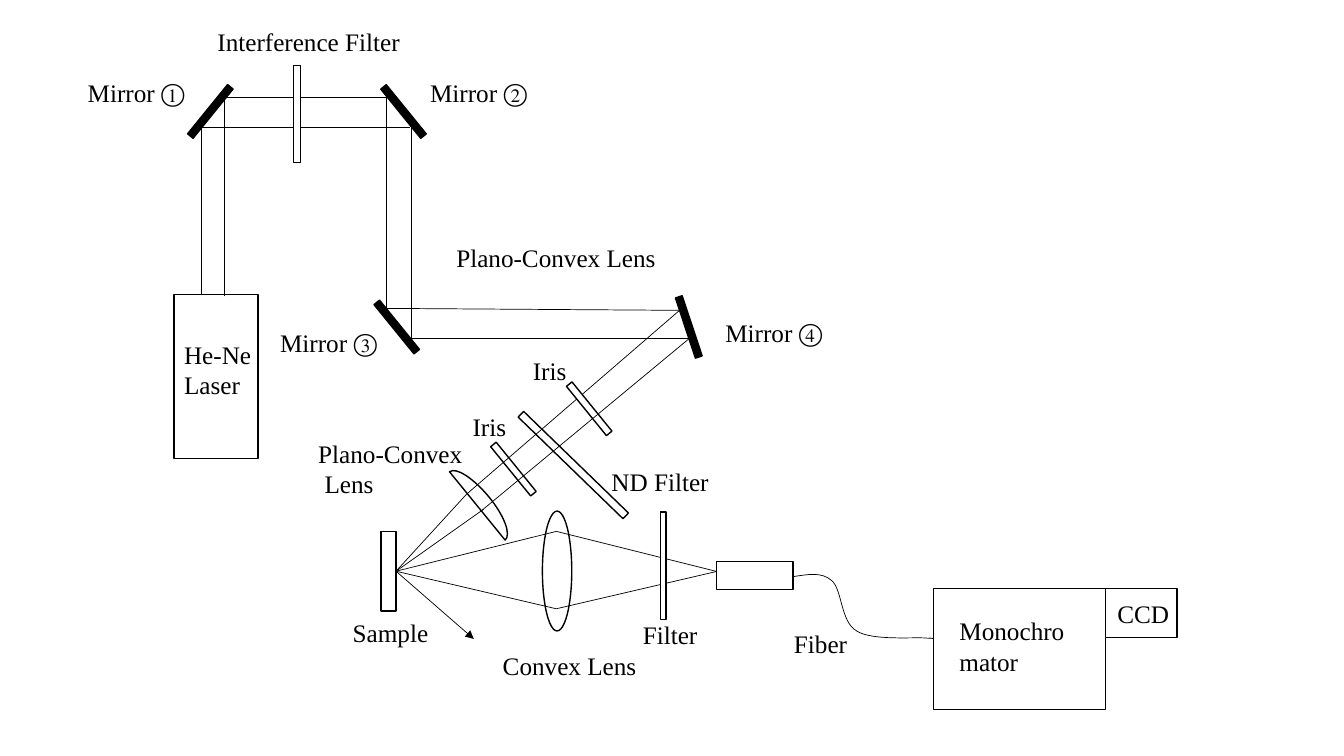
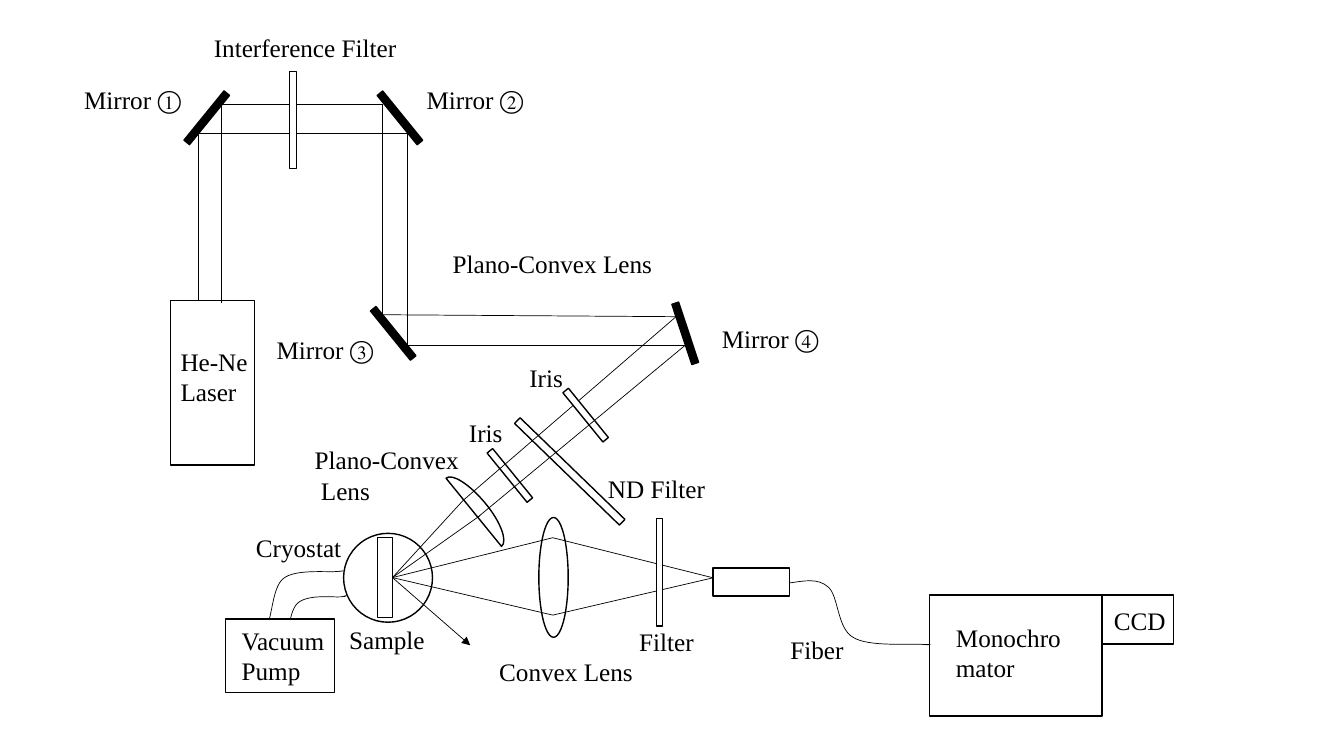
from dataclasses import dataclass

from pptx import Presentation
from pptx.dml.color import RGBColor
from pptx.enum import shapes
from pptx.oxml.xmlchemy import OxmlElement
from pptx.util import Cm, Pt


@dataclass(frozen=True)
class Theme:
    ink: RGBColor = RGBColor(0, 0, 0)
    paper: RGBColor = RGBColor(255, 255, 255)
    font: str = "Times New Roman"
    label_size: Pt = Pt(18)
    outline: Pt = Pt(1)
    beam: Pt = Pt(0.5)


THEME = Theme()
RECTANGLE = shapes.MSO_SHAPE.RECTANGLE
OVAL = shapes.MSO_SHAPE.OVAL
RIGHT_SIDE = 3

# All positions and sizes are in centimetres.
PLATE = (0.18, 1.6)  # mirrors and irises
LINE_HEIGHT, LABEL_PADDING = 0.77, 0.25
SHORT, MEDIUM, LONG = 3.53, 4.8, 6.27  # label widths

# left, top, angle
MIRRORS = [(5.21, 2.01, 39.1), (10.08, 2.01, -39.1),
           (9.91, 7.44, -39.1), (17.27, 7.44, -18.4)]
FAR_IRIS = (14.76, 9.5, -39.1)
NEAR_IRIS = (12.85, 11.02, -39.1)

# left, top, width, height
SAMPLE = (9.6, 13.39, 0.38, 2.01)
CONVEX_LENS = (13.67, 12.88, 0.74, 3.02)
ND_FILTER = (14.35, 9.88, 0.2, 3.68)
ND_ANGLE = -45.9
INSTRUMENTS = {
    "CCD": (27.86, 14.83, 1.8, 1.24),
    "laser": (4.39, 7.42, 2.11, 4.14),
    "fiber coupler": (18.06, 14.15, 1.93, 0.71),
    "monochromator": (23.52, 14.83, 4.34, 3.05),
}
FRONT_FILTERS = {
    "filter": (16.64, 12.9, 0.15, 2.72),
    "interference filter": (7.39, 1.65, 0.18, 2.44),
}

# start x, start y, end x, end y
BEAMS = [
    (5.08, 7.42, 5.08, 3.2), (5.66, 7.47, 5.66, 2.46),        # laser to mirror 1
    (5.08, 3.2, 10.34, 3.2), (5.66, 2.46, 9.75, 2.46),        # mirror 1 to 2
    (10.36, 3.02, 10.36, 8.53), (9.73, 2.46, 9.73, 7.77),     # mirror 2 to 3
    (10.36, 8.53, 17.42, 8.53), (9.6, 7.77, 17.15, 7.82),     # mirror 3 to 4
    (14.02, 13.39, 18.06, 14.4), (14.02, 15.34, 18.06, 14.4),  # lens to coupler
]
UPPER_PROBE_BEAM = (17.15, 7.8, 11.76, 12.45)
LOWER_PROBE_BEAM = (17.37, 8.53, 12.12, 12.88)
SAMPLE_RAY_ENDS = [(11.76, 12.45), (12.19, 12.83), (14.02, 13.39), (14.02, 15.34)]
REFLECTION_END = (11.94, 16.1)

# A start point, then two control points and an end point for each curve
PLANO_CONVEX_LENS = [
    (11.33, 11.89), (11.49, 11.76), (11.93, 12.05), (12.32, 12.52),
    (12.71, 12.99), (12.89, 13.48), (12.73, 13.61)]
FIBER = [
    (19.99, 14.53), (20.35, 14.48), (20.7, 14.4), (20.96, 14.63),
    (21.23, 14.86), (21.18, 15.67), (21.59, 15.9),
    (21.97, 16.15), (23.04, 16.05), (23.34, 16.08),
    (23.65, 16.1), (23.52, 16.08), (23.42, 16.08)]
VACUUM_TUBES = [
    [(6.01, 15.84), (6.26, 15.92), (6.54, 15.99), (6.74, 15.74),
     (6.97, 15.51), (6.92, 14.67), (7.23, 14.42),
     (7.53, 14.17), (8.35, 14.27), (8.6, 14.24),
     (8.83, 14.22), (8.73, 14.22), (8.65, 14.24)],
    [(6.57, 16.45), (6.8, 16.53), (7.02, 16.6), (7.2, 16.38),
     (7.35, 16.15), (7.33, 15.31), (7.58, 15.05),
     (7.84, 14.8), (8.5, 14.9), (8.7, 14.88),
     (8.88, 14.83), (8.83, 14.85), (8.75, 14.88)],
]
CRYOSTAT = (8.75, 13.28, 2.24, 2.24)
PUMP = (5.78, 15.44, 2.74, 1.85)

# text, left, top, width
LABELS = [
    ("Interference Filter", 5.23, 0.53, LONG),
    ("Mirror ①", 1.96, 1.83, SHORT),
    ("Mirror ②", 10.59, 1.83, SHORT),
    ("Mirror ③", 6.81, 8.13, SHORT),
    ("Mirror ④", 18.03, 7.87, SHORT),
    ("He-Ne\nLaser", 4.39, 8.43, SHORT),
    ("Plano-Convex Lens", 11.25, 5.97, LONG),
    ("Iris", 13.18, 8.84, MEDIUM),
    ("Iris", 11.66, 10.24, MEDIUM),
    ("ND Filter", 15.16, 11.63, MEDIUM),
    ("Sample", 8.64, 15.44, MEDIUM),
    ("Convex Lens", 12.42, 16.26, MEDIUM),
    ("Filter", 15.95, 15.49, SHORT),
    ("Fiber", 19.76, 15.7, SHORT),
    ("Monochro\nmator", 23.93, 15.39, SHORT),
    ("CCD", 27.91, 14.96, SHORT),
]
LENS_LABEL = ("Plano-Convex\nLens", 7.77, 10.92, LONG)
LENS_INDENT = 0.16
CRYOSTAT_LABELS = [("Cryostat", 6.29, 13.12, MEDIUM),
                   ("Vacuum\nPump", 5.93, 15.46, SHORT)]

# Shift of the whole setup, and whether it has the cryostat
SETUPS = [((0, 0), False), ((-0.09, 0.16), True)]


class Bench:
    """Draws on one slide, with every position shifted by the same amount."""

    def __init__(self, slide, shift):
        self.shapes = slide.shapes
        self.shift = shift

    def place(self, x, y):
        return Cm(x + self.shift[0]), Cm(y + self.shift[1])

    def component(self, left, top, width, height, kind=RECTANGLE, angle=0,
                  fill=THEME.paper):
        shape = self.shapes.add_shape(kind, *self.place(left, top), Cm(width), Cm(height))
        shape.rotation = angle
        self.finish(shape, fill, THEME.outline)
        return shape

    def finish(self, shape, fill, weight):
        shape.shadow.inherit = False
        if fill is None:
            shape.fill.background()
        else:
            shape.fill.solid()
            shape.fill.fore_color.rgb = fill
        shape.line.color.rgb = THEME.ink
        shape.line.width = weight

    def plate(self, left, top, angle, fill=THEME.paper):
        self.component(left, top, *PLATE, angle=angle, fill=fill)

    def beam(self, x1, y1, x2, y2, source=None, arrow=False):
        """Straight ray; a source shape holds its start at the right side."""
        connector = self.shapes.add_connector(
            shapes.MSO_CONNECTOR.STRAIGHT, *self.place(x1, y1), *self.place(x2, y2))
        if source is not None:
            connector.begin_connect(source, RIGHT_SIDE)
        connector.line.color.rgb = THEME.ink
        connector.line.width = THEME.beam
        if arrow:
            head = OxmlElement("a:tailEnd")
            head.set("type", "triangle")
            connector.line._get_or_add_ln().append(head)
        connector._element.spPr.append(OxmlElement("a:effectLst"))

    def curve(self, points, closed=False, fill=None, weight=THEME.beam):
        """Freeform whose corners become the control points of cubic curves."""
        start, *rest = [self.place(*point) for point in points]
        builder = self.shapes.build_freeform(*start)
        builder.add_line_segments(rest, close=closed)
        shape = builder.convert_to_shape()
        corners = shape._element.xpath(".//a:lnTo")
        for first in range(0, len(corners), 3):
            cubic = OxmlElement("a:cubicBezTo")
            corners[first].addprevious(cubic)
            for corner in corners[first:first + 3]:
                cubic.append(corner[0])
                corner.getparent().remove(corner)
        self.finish(shape, fill, weight)

    def label(self, text, left, top, width, second_line_indent=0):
        lines = text.split("\n")
        height = LINE_HEIGHT * len(lines) + LABEL_PADDING
        frame = self.shapes.add_textbox(
            *self.place(left, top), Cm(width), Cm(height)).text_frame
        frame.word_wrap = True
        for number, line in enumerate(lines):
            paragraph = frame.add_paragraph() if number else frame.paragraphs[0]
            if number and second_line_indent:
                paragraph._p.get_or_add_pPr().set("marL", str(Cm(second_line_indent)))
            run = paragraph.add_run()
            run.text = line
            run.font.name = THEME.font
            run.font.size = THEME.label_size
            run.font.color.rgb = THEME.ink


def draw_cryostat(bench):
    bench.component(*CRYOSTAT, kind=OVAL)
    for tube in VACUUM_TUBES:
        bench.curve(tube)
    bench.component(*PUMP)
    for label in CRYOSTAT_LABELS:
        bench.label(*label)


def draw_setup(bench, with_cryostat):
    bench.curve(PLANO_CONVEX_LENS, closed=True, fill=THEME.paper, weight=THEME.outline)
    if with_cryostat:
        draw_cryostat(bench)

    for box in INSTRUMENTS.values():
        bench.component(*box)
    bench.component(*CONVEX_LENS, kind=OVAL)
    bench.component(*ND_FILTER, angle=ND_ANGLE)
    bench.plate(*NEAR_IRIS)
    sample = bench.component(*SAMPLE)

    for beam in BEAMS:
        bench.beam(*beam)
    bench.beam(*UPPER_PROBE_BEAM)
    bench.plate(*FAR_IRIS)
    bench.beam(*LOWER_PROBE_BEAM)
    sample_side = (SAMPLE[0] + SAMPLE[2], SAMPLE[1] + SAMPLE[3] / 2)
    for end in SAMPLE_RAY_ENDS:
        bench.beam(*sample_side, *end, source=sample)
    bench.beam(*sample_side, *REFLECTION_END, source=sample, arrow=True)
    bench.curve(FIBER)

    for mirror in MIRRORS:
        bench.plate(*mirror, fill=THEME.ink)
    for box in FRONT_FILTERS.values():
        bench.component(*box)
    for label in LABELS:
        bench.label(*label)
    bench.label(*LENS_LABEL, second_line_indent=LENS_INDENT)


def main():
    presentation = Presentation()
    presentation.slide_width = Cm(33.87)
    presentation.slide_height = Cm(19.05)
    blank = presentation.slide_layouts[6]
    for shift, with_cryostat in SETUPS:
        slide = presentation.slides.add_slide(blank)
        draw_setup(Bench(slide, shift), with_cryostat)
    presentation.save("out.pptx")


if __name__ == "__main__":
    main()
